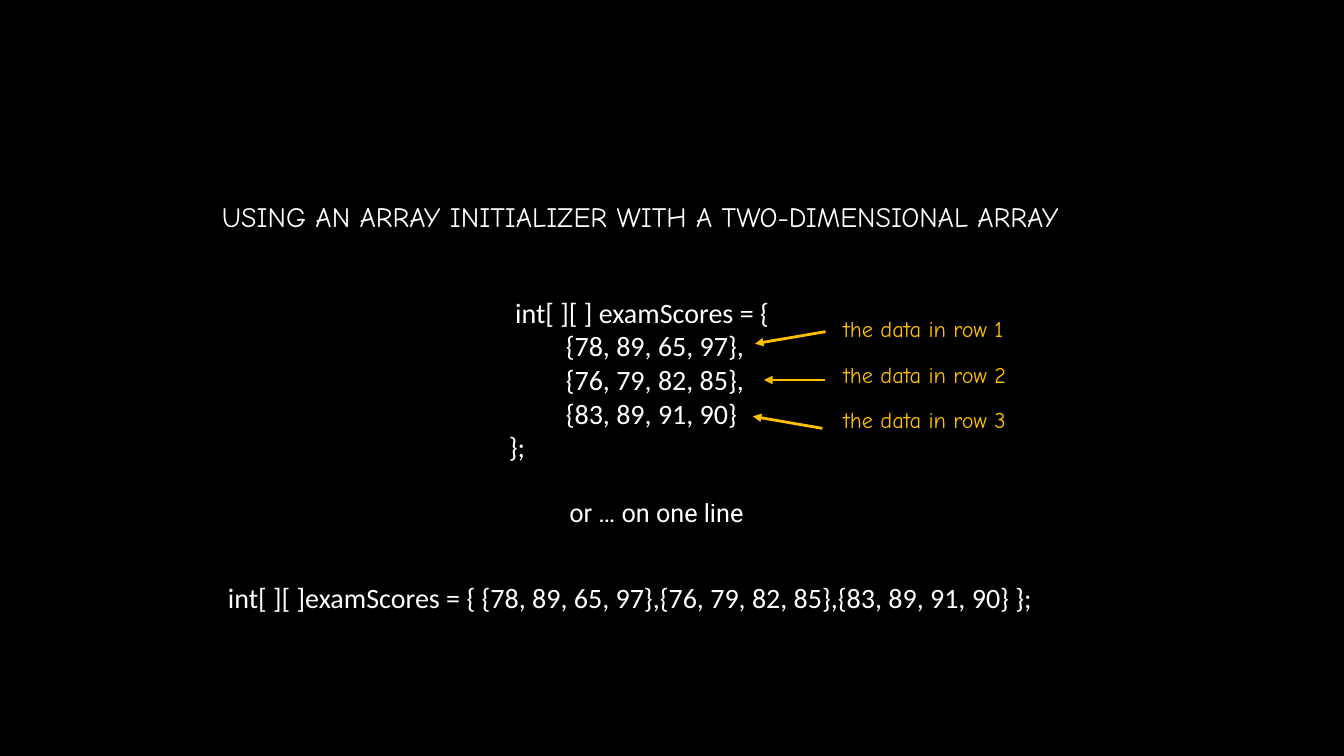
from pptx import Presentation
from pptx.dml.color import RGBColor
from pptx.enum.shapes import MSO_CONNECTOR as Conn
from pptx.enum.text import MSO_ANCHOR as Anchor, MSO_AUTO_SIZE as Fit, PP_ALIGN as Align
from pptx.oxml.ns import qn
from pptx.util import Pt
from lxml.etree import SubElement as Sub

WHITE = "FFFFFF"
GOLD = "FFC000"


def rgb(code):
    return RGBColor.from_string(code)


def write(shape, lines, font, size, color):
    """Fill a shape with (text, left indent) lines in one style."""
    frame = shape.text_frame
    frame.word_wrap = True
    frame.auto_size = Fit.NONE
    frame.vertical_anchor = Anchor.TOP
    for i, (text, indent) in enumerate(lines):
        para = frame.add_paragraph() if i else frame.paragraphs[0]
        para.alignment = Align.LEFT
        if indent:
            para._p.get_or_add_pPr().set("marL", str(Pt(indent)))
        run = para.add_run()
        run.text = text
        run.font.name = font
        run.font.size = Pt(size)
        run.font.color.rgb = rgb(color)


deck = Presentation()
deck.slide_width, deck.slide_height = Pt(960), Pt(540)
slide = deck.slides.add_slide(deck.slide_layouts[5])
slide.background.fill.solid()
slide.background.fill.fore_color.rgb = rgb("000000")
shapes = slide.shapes

# Title
title = shapes.title
title.left, title.top, title.width, title.height = Pt(151.2), Pt(139), Pt(723), Pt(31.5)
write(title, [("USING AN ARRAY INITIALIZER WITH A TWO-DIMENSIONAL ARRAY", 0)],
      "Comic Neue", 20, WHITE)

# Code, first on several lines and then on one
rows = ["{78, 89, 65, 97}", "{76, 79, 82, 85}", "{83, 89, 91, 90}"]
code = [(" int[ ][ ] examScores = {", 0)]
code += [(row + ("," if row != rows[-1] else ""), 40.7) for row in rows]
code += [("};", 0)]
short = " int[ ][ ]examScores = { " + ",".join(rows) + " };"

for left, top, wide, high, lines, font, size in [
    (356.4, 207.4, 206.6, 128.2, code, "Calibri", 20),
    (399.6, 351.4, 146.2, 29, [("or … on one line", 0)], "Roboto", 18),
    (151.2, 411.1, 598.3, 31.5, [(short, 0)], "Calibri", 20),
]:
    box = shapes.add_textbox(Pt(left), Pt(top), Pt(wide), Pt(high))
    write(box, lines, font, size, WHITE)

# Row labels, each with an arrow to its row of data
arrows = [
    (589.7, 236.9, 539.3, 245.5),
    (589, 271.4, 545.8, 271.4),
    (587.5, 306, 537.8, 297.4),
]
for i, ends in enumerate(arrows):
    label = shapes.add_textbox(Pt(595.4), Pt(221.8 + 32.4 * i), Pt(143.3), Pt(26.6))
    write(label, [(f"the data in row {i + 1}", 0)], "Comic Neue", 16, GOLD)

    arrow = shapes.add_connector(Conn.STRAIGHT, *map(Pt, ends))
    arrow.line.color.rgb = rgb(GOLD)
    arrow.line.width = Pt(2)
    Sub(arrow.line._get_or_add_ln(), qn("a:tailEnd"), type="triangle")
    Sub(arrow._element.spPr, qn("a:effectLst"))

deck.save("out.pptx")
